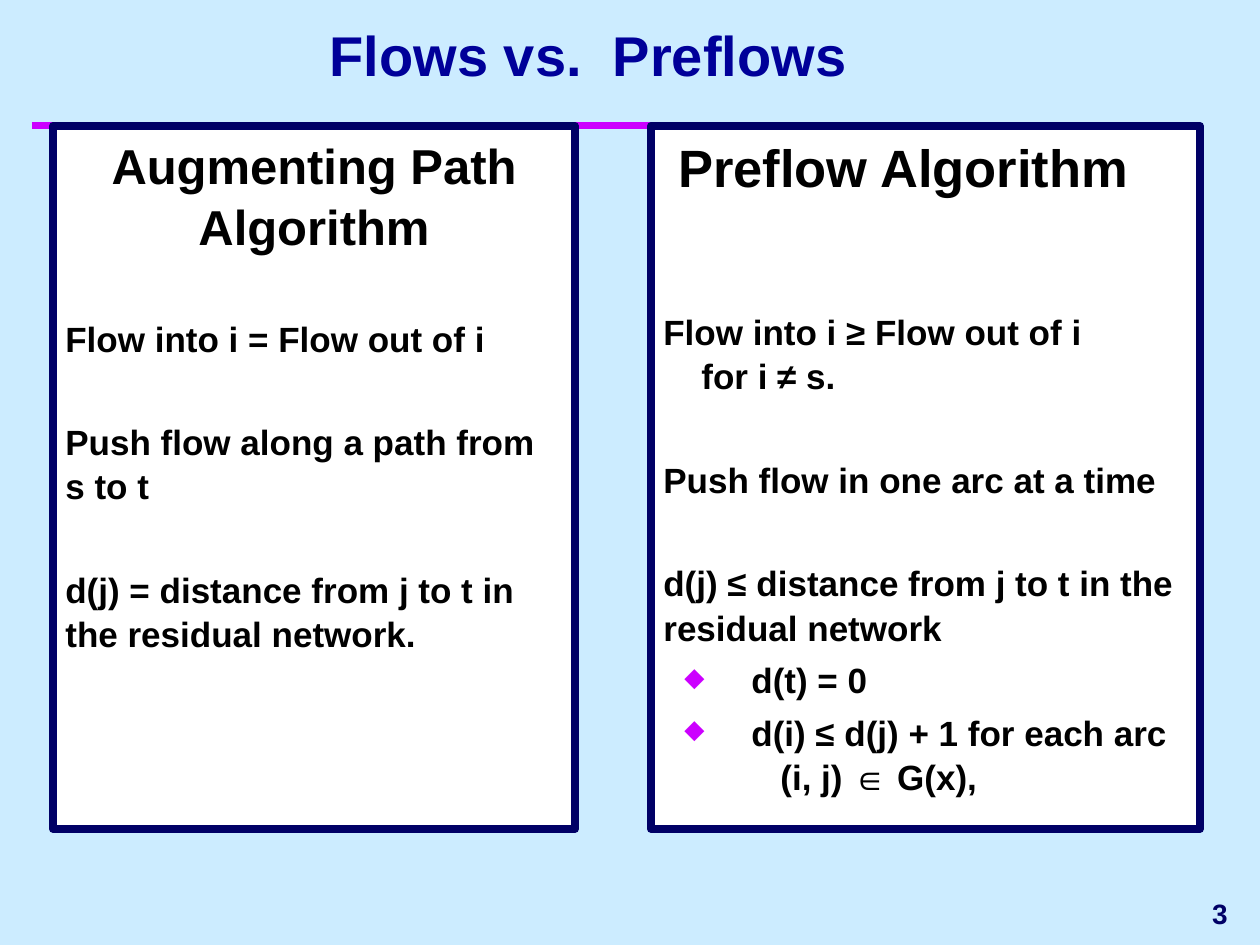
import pptx
import pptx.util
import pptx.dml.color
import pptx.enum.shapes
import pptx.enum.text
import pptx.oxml.ns
from lxml import etree

# Content: (kind, text) per paragraph; kinds are described in STYLES
TITLE = "Flows vs.  Preflows"
PAGE = "3"
PANELS = [
    ((53, 126, 522, 703), [
        ("centred heading", "Augmenting Path Algorithm"),
        ("statement", "Flow into i = Flow out of i"),
        ("statement", "Push flow along a path from s to t"),
        ("statement", "d(j) = distance from j to t in the residual network."),
    ]),
    ((651, 126, 549, 703), [
        ("heading", "Preflow Algorithm"),
        ("first statement", "Flow into i ≥ Flow out of i"),
        ("condition", "for i ≠ s."),
        ("statement", "Push flow in one arc at a time"),
        ("statement", "d(j) ≤ distance from j to t in the residual network"),
        ("bullet", "d(t) = 0"),
        ("bullet", "d(i) ≤ d(j) + 1 for each arc"),
        ("bullet condition", "(i, j) ∈ G(x),"),
    ]),
]

THEME = {
    "font": "Arial", "title size": 32, "page size": 16, "spacing": 1.05,
    "sky": "CCECFF", "rule": "CC00FF", "title": "000099", "navy": "000066",
    "text": "000000", "panel": "FFFFFF",
}

# Per kind: size (pt), space before (pt), left margin (px), first-line indent (px)
STYLES = {
    "centred heading": (28, 0, 0, 0),
    "heading": (30, 0, 15, 0),
    "first statement": (20, 63, 0, 0),
    "statement": (20, 34, 0, 0),
    "condition": (20, 0, 38, 0),
    "bullet": (20, 5, 88, -67),
    "bullet condition": (20, 0, 117, 0),
}

PX = 914400 // 126
ALIGN = pptx.enum.text.PP_ALIGN
ANCHOR = pptx.enum.text.MSO_ANCHOR


def px(*lengths):
    return [pptx.util.Emu(length * PX) for length in lengths]


def colour(name):
    return pptx.dml.color.RGBColor.from_string(THEME[name])


def add_run(paragraph, text, size, ink):
    run = paragraph.add_run()
    run.text = text
    run.font.name = THEME["font"]
    run.font.size = pptx.util.Pt(size)
    run.font.bold = True
    run.font.color.rgb = colour(ink)


def add_label(slide, box, text, size, ink, align, anchor):
    frame = slide.shapes.add_textbox(*px(*box)).text_frame
    frame.word_wrap = True
    frame.vertical_anchor = anchor
    frame.paragraphs[0].alignment = align
    add_run(frame.paragraphs[0], text, size, ink)


def add_diamond(properties):
    qn = pptx.oxml.ns.qn
    tint = etree.SubElement(properties, qn("a:buClr"))
    etree.SubElement(tint, qn("a:srgbClr"), val=THEME["rule"])
    etree.SubElement(properties, qn("a:buSzPct"), val="75000")
    etree.SubElement(properties, qn("a:buChar"), char="◆")


def add_panel(slide, box, lines):
    panel = slide.shapes.add_shape(
        pptx.enum.shapes.MSO_SHAPE.RECTANGLE, *px(*box))
    panel.shadow.inherit = False
    panel.fill.solid()
    panel.fill.fore_color.rgb = colour("panel")
    panel.line.color.rgb = colour("navy")
    panel.line.width = pptx.util.Pt(4.5)
    frame = panel.text_frame
    frame.word_wrap = True
    frame.vertical_anchor = ANCHOR.TOP
    for number, (kind, text) in enumerate(lines):
        size, before, margin, indent = STYLES[kind]
        paragraph = frame.add_paragraph() if number else frame.paragraphs[0]
        paragraph.alignment = ALIGN.CENTER if kind == "centred heading" else ALIGN.LEFT
        paragraph.line_spacing = THEME["spacing"]
        paragraph.space_before = pptx.util.Pt(before)
        properties = paragraph._p.get_or_add_pPr()
        properties.set("marL", str(margin * PX))
        properties.set("indent", str(indent * PX))
        if kind == "bullet":
            add_diamond(properties)
        add_run(paragraph, text, size, "text")


def main():
    deck = pptx.Presentation()
    deck.slide_width, deck.slide_height = px(1260, 945)
    slide = deck.slides.add_slide(deck.slide_layouts[6])
    slide.background.fill.solid()
    slide.background.fill.fore_color.rgb = colour("sky")

    # Rule behind the panels
    rule = slide.shapes.add_connector(
        pptx.enum.shapes.MSO_CONNECTOR.STRAIGHT, *px(32, 126, 1138, 126))
    rule.line.color.rgb = colour("rule")
    rule.line.width = pptx.util.Pt(4)
    etree.SubElement(rule._element.spPr, pptx.oxml.ns.qn("a:effectLst"))

    # Page number and title
    add_label(slide, (998, 882, 242, 63), PAGE, THEME["page size"], "navy",
              ALIGN.RIGHT, ANCHOR.MIDDLE)
    add_label(slide, (53, 21, 1071, 73), TITLE, THEME["title size"], "title",
              ALIGN.CENTER, ANCHOR.BOTTOM)

    # The two algorithms side by side
    for box, lines in PANELS:
        add_panel(slide, box, lines)

    deck.save("out.pptx")


if __name__ == "__main__":
    main()
